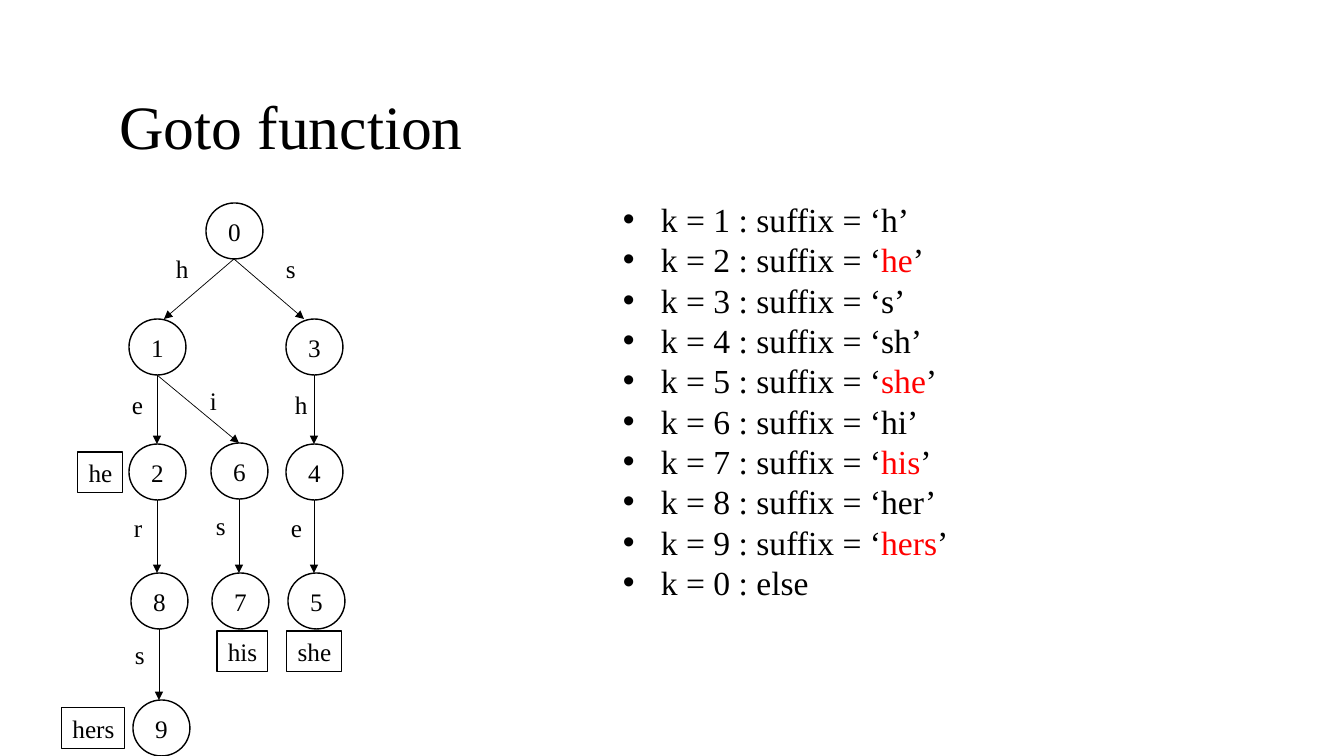
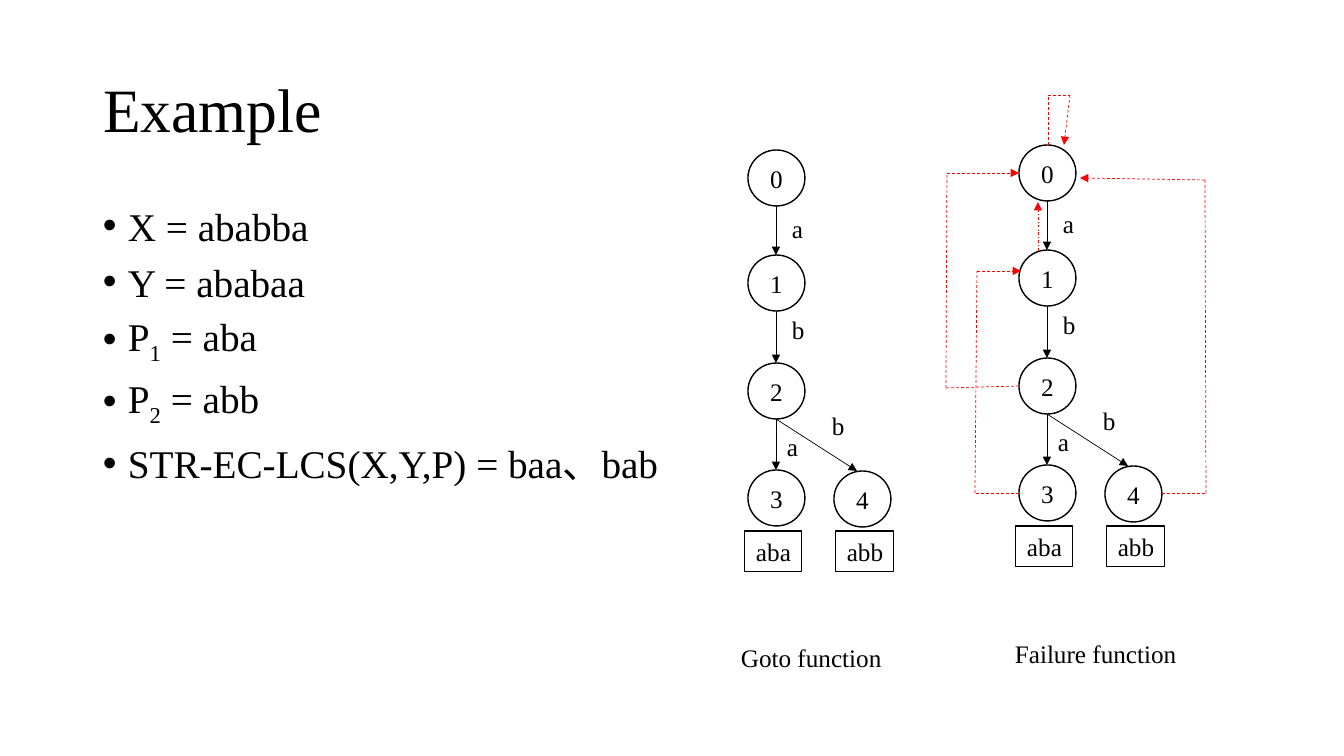
from lxml.etree import SubElement
from pptx import Presentation
from pptx.dml.color import RGBColor
from pptx.enum.dml import MSO_LINE_DASH_STYLE as Dash
from pptx.enum.shapes import MSO_CONNECTOR as Connector, MSO_SHAPE as Shape
from pptx.enum.text import MSO_ANCHOR as Anchor, MSO_AUTO_SIZE as AutoSize, PP_ALIGN as Align
from pptx.oxml.ns import qn
from pptx.util import Emu, Pt

COLOURS = {"ink": "000000", "accent": "FF0000"}
FONT = "Times New Roman"
SCALE = 914400 / 100.8
NODE_WIDTH, NODE_HEIGHT = 57, 56
TAG_HEIGHT = 41
TITLE_ONLY = 5


def px(length):
    return Emu(round(length * SCALE))


def colour(name):
    return RGBColor.from_string(COLOURS[name])


class Deck:
    def __init__(self):
        self.show = Presentation()
        self.show.slide_width, self.show.slide_height = px(1344), px(756)
        self.page = None

    def add_page(self, title, left, top):
        self.page = self.show.slides.add_slide(self.show.slide_layouts[TITLE_ONLY])
        box = self.page.shapes.title
        box.left, box.top, box.width, box.height = map(px, (left, top, 1159, 146))
        frame = box.text_frame
        frame.text = title
        frame.auto_size = AutoSize.NONE
        frame.vertical_anchor = Anchor.MIDDLE
        para = frame.paragraphs[0]
        para.alignment = Align.LEFT
        para.line_spacing = 0.9
        self.style(para, 44)

    def style(self, para, size):
        para.font.name = FONT
        para.font.size = Pt(size)
        para.font.color.rgb = colour("ink")

    def text_box(self, left, top, width, height):
        box = self.page.shapes.add_textbox(*map(px, (left, top, width, height)))
        box.text_frame.word_wrap = True
        return box.text_frame

    def label(self, text, left, top, width=33):
        frame = self.text_box(left, top, width, TAG_HEIGHT)
        frame.text = text
        self.style(frame.paragraphs[0], 18)

    def outline(self, kind, text, left, top, width, height, weight):
        shape = self.page.shapes.add_shape(kind, *map(px, (left, top, width, height)))
        shape.shadow.inherit = False
        shape.fill.background()
        shape.line.color.rgb = colour("ink")
        shape.line.width = Pt(weight)
        frame = shape.text_frame
        frame.text = text
        frame.word_wrap = False
        frame.vertical_anchor = Anchor.MIDDLE
        para = frame.paragraphs[0]
        para.alignment = Align.CENTER
        self.style(para, 18)

    def node(self, text, left, top):
        self.outline(Shape.OVAL, text, left, top, NODE_WIDTH, NODE_HEIGHT, 1)

    def tag(self, text, left, top, width):
        self.outline(Shape.RECTANGLE, text, left, top, width, TAG_HEIGHT, 0.75)

    def line(self, start, end, arrow=True, ink="ink", dash=None):
        line = self.page.shapes.add_connector(
            Connector.STRAIGHT, *map(px, (*start, *end)))
        line.line.color.rgb = colour(ink)
        line.line.width = Pt(0.5)
        if dash:
            line.line.dash_style = dash
        if arrow:
            SubElement(line.line._get_or_add_ln(), qn("a:tailEnd"), type="triangle")
        SubElement(line._element.spPr, qn("a:effectLst"))

    def route(self, points, dash):
        last = len(points) - 2
        for index, (start, end) in enumerate(zip(points, points[1:])):
            self.line(start, end, index == last, "accent", dash)

    def trie(self, nodes, edges, labels, tags, dx=0, dy=0):
        for name, (left, top) in nodes.items():
            self.node(name, left + dx, top + dy)
        for parent, child, shift in edges:
            (left, top), (child_left, child_top) = nodes[parent], nodes[child]
            middle = dx + NODE_WIDTH // 2
            self.line((left + middle, top + NODE_HEIGHT + dy),
                      (child_left + middle + shift, child_top + dy))
        for text, left, top in labels:
            self.label(text, left + dx, top + dy)
        for text, left, top, width in tags:
            self.tag(text, left + dx, top + dy, width)

    def bullets(self, items, area, size, pitch, indent):
        frame = self.text_box(*area)
        for index, (spans, gap) in enumerate(items):
            para = frame.paragraphs[0] if index == 0 else frame.add_paragraph()
            props = para._p.get_or_add_pPr()
            props.set("marL", str(px(indent)))
            props.set("indent", str(-px(indent)))
            SubElement(props, qn("a:buFont"), typeface="Arial")
            SubElement(props, qn("a:buChar"), char="•")
            para.line_spacing = Pt(pitch)
            para.space_before = Pt(gap)
            self.style(para, size)
            for text, look in spans:
                span = para.add_run()
                span.text = text
                if look == "accent":
                    span.font.color.rgb = colour("accent")
                elif look == "subscript":
                    span._r.get_or_add_rPr().set("baseline", "-25000")


def goto_page(deck):
    deck.add_page("Goto function", 109, 57)
    deck.trie(
        nodes={"0": (206, 203), "1": (129, 319), "2": (129, 444), "3": (286, 319),
               "4": (286, 444), "5": (288, 573), "6": (211, 443), "7": (212, 573),
               "8": (131, 573), "9": (133, 700)},
        edges=[("0", "1", 7), ("0", "3", -10), ("1", "2", 0), ("1", "6", 0),
               ("3", "4", 0), ("2", "8", -2), ("6", "7", -1), ("4", "5", -2),
               ("8", "9", -2)],
        labels=[("h", 166, 248), ("s", 276, 248), ("e", 122, 384), ("i", 200, 380),
                ("h", 285, 384), ("r", 124, 507), ("s", 206, 505), ("e", 281, 507),
                ("s", 125, 634)],
        tags=[("he", 78, 452, 45), ("his", 217, 631, 51), ("she", 287, 631, 55),
              ("hers", 62, 708, 63)])
    suffixes = ["h", "he", "s", "sh", "she", "hi", "his", "her", "hers"]
    words = {"he", "she", "his", "hers"}
    items = []
    for state, suffix in enumerate(suffixes, 1):
        opening = f"k = {state} : suffix = ‘"
        if suffix in words:
            spans = [(opening, None), (suffix, "accent"), ("’", None)]
        else:
            spans = [(f"{opening}{suffix}’", None)]
        items.append((spans, 0))
    items.append(([("k = 0 : else", None)], 0))
    deck.bullets(items, (613, 194, 371, 479), size=24, pitch=28.8, indent=38)


def example_page(deck):
    deck.add_page("Example", 93, 40)
    items = [([("X = ababba", None)], 0),
             ([("Y = ababaa", None)], 10),
             ([("P", None), ("1", "subscript"), (" = aba", None)], 13.5),
             ([("P", None), ("2", "subscript"), (" = abb", None)], 14.5),
             ([("STR-EC-LCS(X,Y,P) = baa、bab", None)], 11.5)]
    deck.bullets(items, (93, 202, 640, 400), size=28, pitch=30, indent=25)
    trie = {
        "nodes": {"0": (748, 150), "1": (748, 255), "2": (748, 363), "3": (748, 470),
                  "4": (834, 471)},
        "edges": [("0", "1", 0), ("1", "2", 0), ("2", "3", 0), ("2", "4", -5)],
        "labels": [("a", 782, 208), ("b", 782, 309), ("b", 822, 405), ("a", 777, 426)],
        "tags": [("aba", 745, 531, 57), ("abb", 836, 531, 58)]}
    deck.trie(**trie)
    deck.trie(**trie, dx=271, dy=-5)
    deck.label("Goto function", 731, 637, 190)
    deck.label("Failure function", 1005, 633, 210)
    failures = [[(1019, 493), (975, 493), (977, 271), (1021, 271)],
                [(1048, 145), (1048, 95), (1070, 95), (1064, 145)],
                [(1019, 386), (946, 388), (947, 173), (1019, 173)],
                [(1162, 493), (1206, 493), (1205, 180), (1080, 178)]]
    for points in failures:
        deck.route(points, Dash.DASH)
    deck.route([(1038, 251), (1038, 202)], Dash.DASH_DOT)


def main():
    deck = Deck()
    goto_page(deck)
    example_page(deck)
    deck.show.save("out.pptx")


if __name__ == "__main__":
    main()
